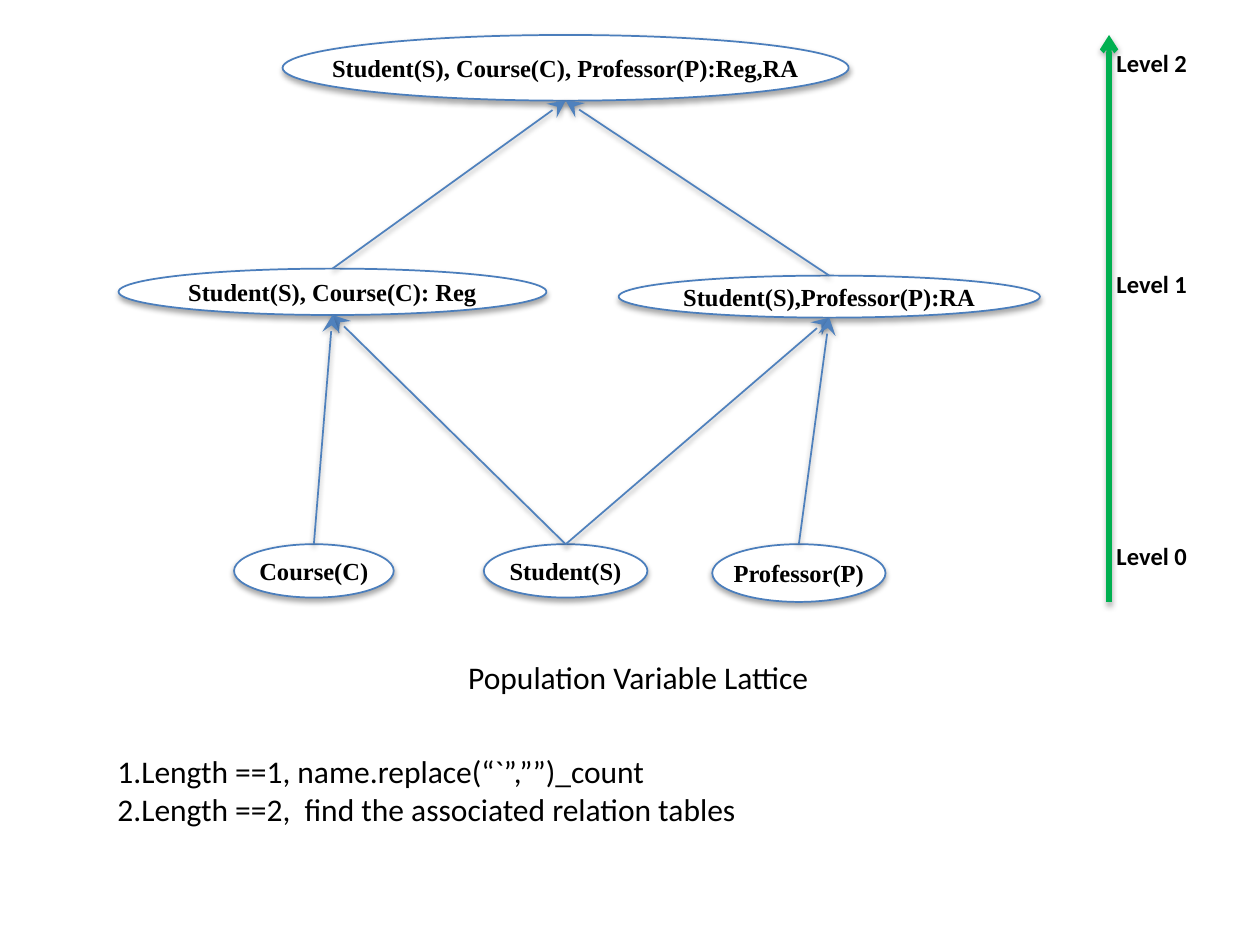
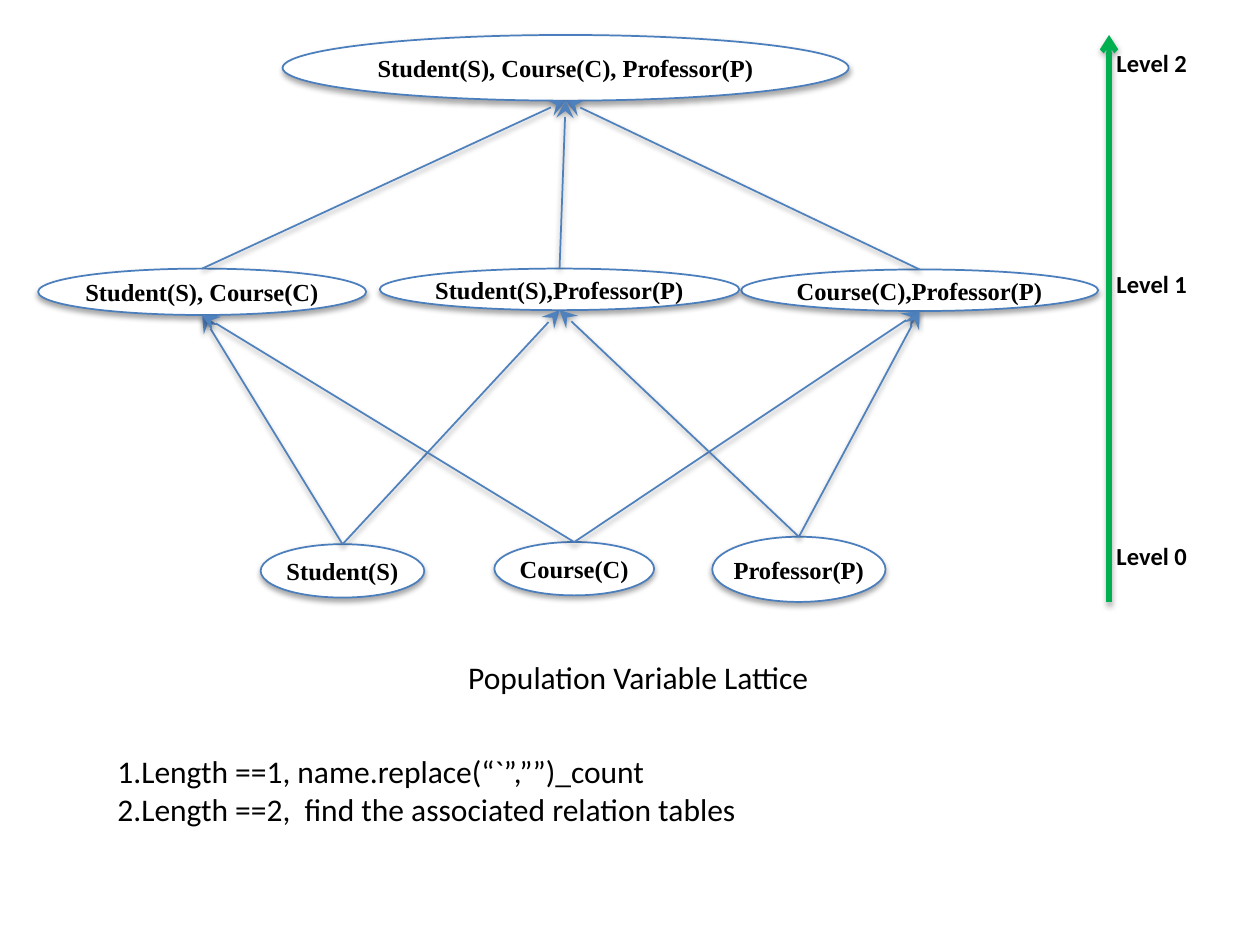
from lxml import etree
from pptx import Presentation
from pptx.dml.color import RGBColor
from pptx.enum.shapes import MSO_CONNECTOR as Line, MSO_SHAPE as Shape
from pptx.enum.text import MSO_ANCHOR as Anchor, PP_ALIGN as Align
from pptx.oxml.ns import qn
from pptx.util import Pt

WHITE = RGBColor(0xFF, 0xFF, 0xFF)
BLACK = RGBColor(0, 0, 0)
OUTLINE = RGBColor(0x4B, 0x7E, 0xBC)
LINK = RGBColor(0x4F, 0x81, 0xBD)
LEVEL_GREEN = RGBColor(0, 0xB0, 0x50)

NODE_FONT = "Times New Roman"
TEXT_FONT = "Calibri"

ELLIPSE_BOTTOM = 4  # an ellipse has eight connection sites

# Shared by both lattices: level labels with their tops, and the rules
LEVELS = {"Level 0": 309, "Level 1": 153.5, "Level 2": 27.5}
RULES = [
    "1.Length ==1, name.replace(“`”,””)_count",
    "2.Length ==2,  find the associated relation tables",
]

# Each lattice: nodes by level as (key, label, left, top, width, height),
# and links as lower key -> upper keys
TOP_BOX = (161.5, 20, 323.5, 37.5)
RELATION_LATTICE = (
    [
        [
            ("S", "Student(S)", 276.5, 311, 93.5, 30.5),
            ("C", "Course(C)", 133.75, 311, 91.25, 30.5),
            ("P", "Professor(P)", 407, 311, 99, 33),
        ],
        [
            ("SC", "Student(S), Course(C): Reg", 67.75, 153.5, 244.5, 26.5),
            ("SP", "Student(S),Professor(P):RA", 353.5, 157.5, 240.75, 24),
        ],
        [("SCP", "Student(S), Course(C), Professor(P):Reg,RA", *TOP_BOX)],
    ],
    {"S": ["SC", "SP"], "C": ["SC"], "P": ["SP"], "SC": ["SCP"], "SP": ["SCP"]},
)
FULL_LATTICE = (
    [
        [
            ("S", "Student(S)", 149, 311, 93.5, 30.5),
            ("C", "Course(C)", 282.5, 309.75, 91.25, 30.5),
            ("P", "Professor(P)", 407, 306.75, 99, 37.25),
        ],
        [
            ("SC", "Student(S), Course(C)", 21.75, 153.5, 187.5, 26.5),
            ("CP", "Course(C),Professor(P)", 423.5, 154, 204, 23.75),
            ("SP", "Student(S),Professor(P)", 217, 153.5, 205.5, 23.75),
        ],
        [("SCP", "Student(S), Course(C), Professor(P)", *TOP_BOX)],
    ],
    {
        "S": ["SC", "SP"], "C": ["SC", "CP"], "P": ["CP", "SP"],
        "SC": ["SCP"], "CP": ["SCP"], "SP": ["SCP"],
    },
)


class LatticeDeck:
    def __init__(self):
        self.deck = Presentation()
        self.deck.slide_width, self.deck.slide_height = Pt(720), Pt(540)
        self.slide = None

    def new_slide(self):
        self.slide = self.deck.slides.add_slide(self.deck.slide_layouts[6])

    def shadow(self, element, distance, opacity):
        """Give a shape or connector a soft shadow straight below it."""
        properties = element.spPr
        for old in properties.findall(qn("a:effectLst")):
            properties.remove(old)
        effects = etree.SubElement(properties, qn("a:effectLst"))
        outer = etree.SubElement(
            effects, qn("a:outerShdw"), blurRad=str(Pt(3.15)),
            dist=str(Pt(distance)), dir="5400000", rotWithShape="0")
        black = etree.SubElement(outer, qn("a:srgbClr"), val=str(BLACK))
        etree.SubElement(black, qn("a:alpha"), val=str(opacity * 1000))

    def set_text(self, frame, lines, font_name, size, bold=False, align=Align.LEFT):
        frame.text = "\n".join(lines)
        for paragraph in frame.paragraphs:
            paragraph.alignment = align
            font = paragraph.font
            font.name, font.size, font.bold = font_name, Pt(size), bold
            font.color.rgb = BLACK

    def no_margins(self, frame):
        frame.margin_left = frame.margin_right = 0
        frame.margin_top = frame.margin_bottom = 0

    def node(self, label, *box):
        ellipse = self.slide.shapes.add_shape(Shape.OVAL, *map(Pt, box))
        ellipse.fill.solid()
        ellipse.fill.fore_color.rgb = WHITE
        ellipse.line.color.rgb = OUTLINE
        ellipse.line.width = Pt(1)
        ellipse.shadow.inherit = False
        self.shadow(ellipse._element, 1.81, 35)
        frame = ellipse.text_frame
        self.no_margins(frame)
        frame.word_wrap = False
        frame.vertical_anchor = Anchor.MIDDLE
        self.set_text(frame, [label], NODE_FONT, 14, True, Align.CENTER)
        return ellipse

    def arrow(self, ends, color, width, head, head_size, distance, opacity):
        arrow = self.slide.shapes.add_connector(Line.STRAIGHT, *map(Pt, ends))
        arrow.line.color.rgb = color
        arrow.line.width = Pt(width)
        outline = arrow._element.spPr.find(qn("a:ln"))
        etree.SubElement(outline, qn("a:tailEnd"), type=head, w=head_size, len=head_size)
        self.shadow(arrow._element, distance, opacity)
        return arrow

    def link(self, lower, upper):
        """Join the top of the lower node to the bottom of the upper one."""
        arrow = self.arrow((0, 0, 0, 0), LINK, 1, "stealth", "lg", 1.57, 38)
        arrow.begin_connect(lower, 0)
        arrow.end_connect(upper, 2)
        for site in arrow._element.iter(qn("a:endCxn")):
            site.set("idx", str(ELLIPSE_BOTTOM))

    def text(self, lines, box, size=18, bold=False, margins=True):
        frame = self.slide.shapes.add_textbox(*map(Pt, box)).text_frame
        frame.word_wrap = True
        if not margins:
            self.no_margins(frame)
        self.set_text(frame, lines, TEXT_FONT, size, bold)

    def lattice_slide(self, levels, links):
        self.new_slide()

        # Lattice nodes and the links between them
        nodes = {key: self.node(label, *box)
                 for level in levels for key, label, *box in level}
        for lower, uppers in links.items():
            for upper in uppers:
                self.link(nodes[lower], nodes[upper])

        # Level axis
        self.arrow((633.75, 344, 633.75, 20), LEVEL_GREEN, 3, "arrow", "med", 1.81, 35)
        for label, top in LEVELS.items():
            self.text([label], (638, top, 53.5, 21.5), 14, True, margins=False)

        # Rules and caption
        self.text(RULES, (60, 426.25, 378, 51))
        self.text(["Population Variable Lattice"], (260.5, 372.25, 216, 29))


def main():
    lattices = LatticeDeck()
    for levels, links in (RELATION_LATTICE, FULL_LATTICE):
        lattices.lattice_slide(levels, links)
    lattices.deck.save("out.pptx")


if __name__ == "__main__":
    main()
